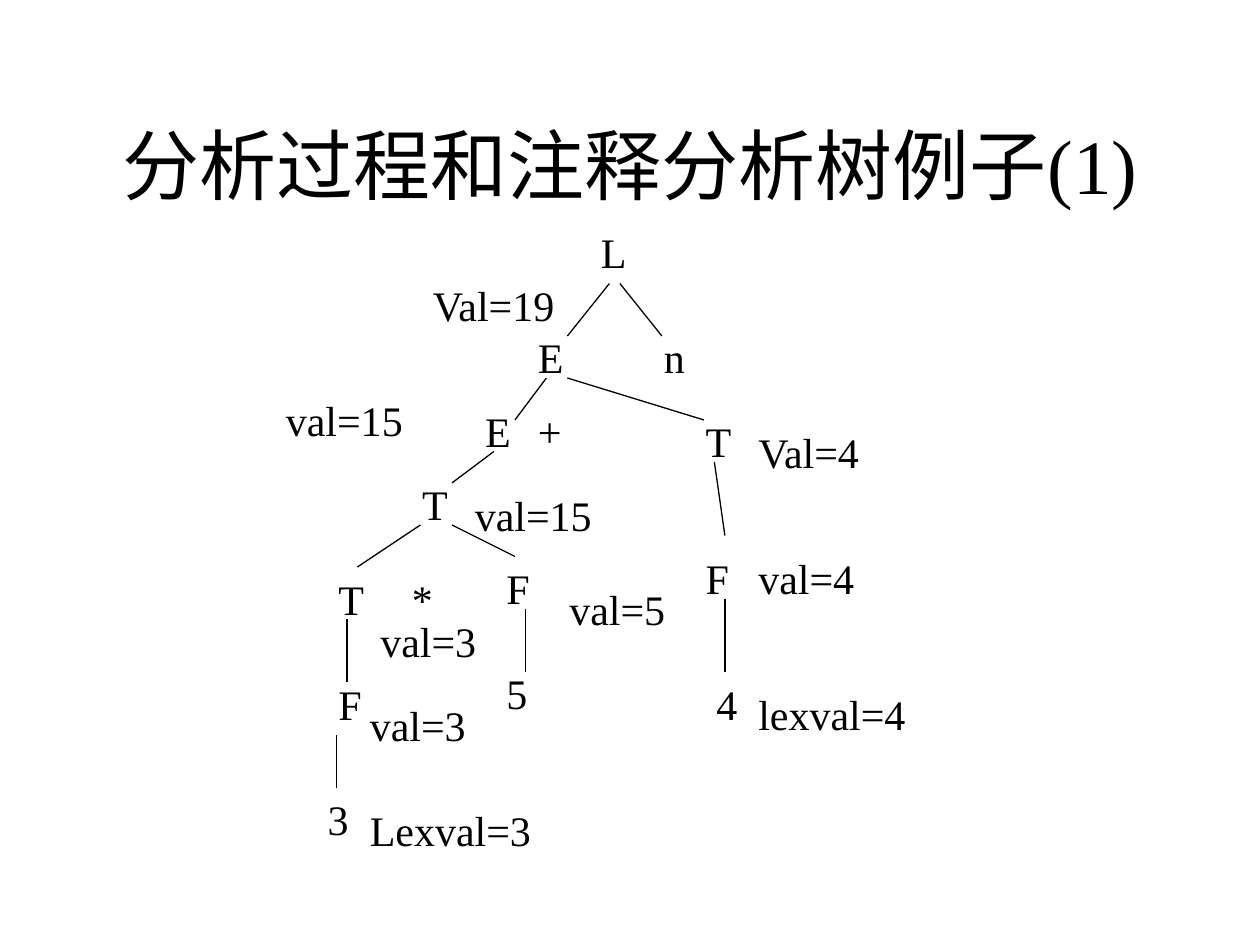
from lxml import etree
from pptx import Presentation
from pptx.dml.color import RGBColor
from pptx.enum.shapes import MSO_CONNECTOR
from pptx.enum.text import MSO_ANCHOR, PP_ALIGN
from pptx.oxml.ns import qn
from pptx.util import Inches, Pt

STRAIGHT = MSO_CONNECTOR.STRAIGHT
TOP, MIDDLE = MSO_ANCHOR.TOP, MSO_ANCHOR.MIDDLE
LEFT, CENTER = PP_ALIGN.LEFT, PP_ALIGN.CENTER
COLORS = {"text": "000000", "branch": "000000"}
FONT = "Times New Roman"

# The tree stands on a grid of twelve steps to the inch
STEP = Inches(1) / 12
TEXT_ROWS = 6

# Grammar symbols: text, column, row, width
NODES = [
    ("L", 30, 0, 4), ("E", 24, 10, 7), ("n", 36, 10, 7),
    ("E", 19, 17, 7), ("+", 24, 17, 7), ("T", 40, 18, 7),
    ("T", 13, 24, 7), ("F", 40, 31, 5),
    ("T", 5, 33, 7), ("*", 12, 33, 8), ("F", 21, 32, 7),
    ("F", 5, 43, 7), ("5", 21, 42, 6), ("4", 41, 43, 6),
    ("3", 4, 54, 7),
]
# Attribute values: text, column, row, width
ATTRIBUTES = [
    ("Val=19", 14, 5, 17), ("val=15", 0, 16, 20), ("Val=4", 45, 19, 20),
    ("val=15", 18, 25, 18), ("val=4", 45, 31, 18), ("val=5", 27, 34, 21),
    ("val=3", 9, 37, 16), ("lexval=4", 45, 44, 18), ("val=3", 8, 45, 13),
    ("Lexval=3", 8, 55, 18),
]
# Branches: start column and row, end column and row
BRANCHES = [
    (32, 6, 28, 11), (33, 6, 37, 11), (26, 15, 23, 19), (28, 15, 41, 19),
    (21, 22, 17, 25), (42, 23, 43, 30), (14, 29, 8, 33), (17, 29, 23, 32),
    (43, 36, 43, 43), (24, 37, 24, 43), (7, 38, 7, 44), (6, 49, 6, 54),
]


def add_text(page, text, box, size=24, align=LEFT, anchor=TOP):
    frame = page.shapes.add_textbox(*box).text_frame
    frame.word_wrap = True
    frame.vertical_anchor = anchor
    para = frame.paragraphs[0]
    para.alignment = align
    span = para.add_run()
    span.text = text
    span.font.name = FONT
    span.font.size = Pt(size)
    span.font.color.rgb = RGBColor.from_string(COLORS["text"])


def add_branch(page, start, end):
    branch = page.shapes.add_connector(STRAIGHT, *start, *end)
    branch.line.color.rgb = RGBColor.from_string(COLORS["branch"])
    branch.line.width = Pt(0.75)
    etree.SubElement(branch._element.spPr, qn("a:effectLst"))


def add_title(page, box):
    add_text(page, "分析过程和注释分析树例子(1)", box, size=44,
             align=CENTER, anchor=MIDDLE)


def add_parse_tree(page, left, top):
    def point(column, row):
        return round(left + column * STEP), round(top + row * STEP)

    for start_column, start_row, end_column, end_row in BRANCHES:
        add_branch(page, point(start_column, start_row),
                   point(end_column, end_row))
    for text, column, row, width in NODES + ATTRIBUTES:
        size = round(width * STEP), round(TEXT_ROWS * STEP)
        add_text(page, text, point(column, row) + size)


def main():
    deck = Presentation()
    deck.slide_width, deck.slide_height = Inches(10), Inches(7.5)
    page = deck.slides.add_slide(deck.slide_layouts[6])
    add_title(page, (Inches(0.75), Inches(0.67), Inches(8.5), Inches(1.25)))
    add_parse_tree(page, Inches(2.17), Inches(1.75))
    deck.save("out.pptx")


if __name__ == "__main__":
    main()
